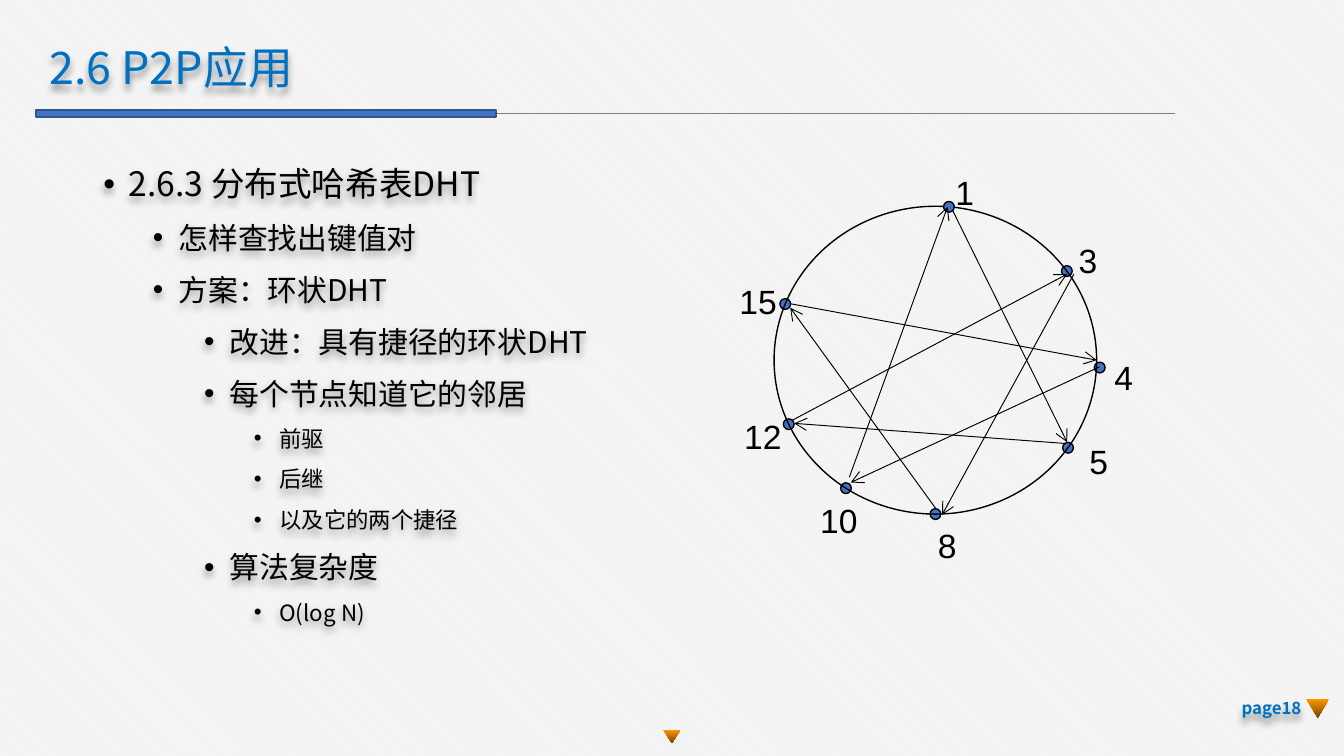
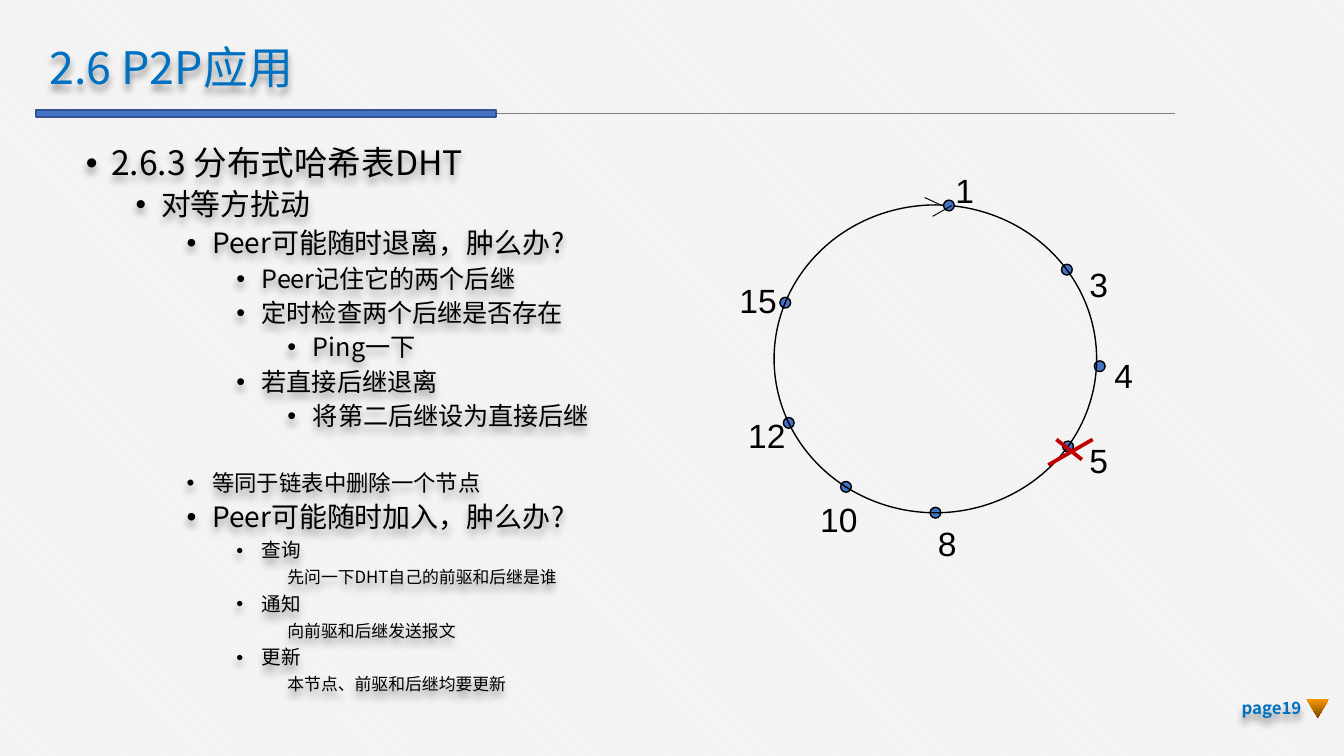
from math import cos, radians, sin

from lxml.etree import SubElement
from pptx import Presentation
from pptx.dml.color import RGBColor
from pptx.enum.dml import MSO_PATTERN as Pattern
from pptx.enum.shapes import MSO_CONNECTOR as Connector, MSO_SHAPE as Shape
from pptx.enum.text import MSO_ANCHOR as Anchor, PP_ALIGN as Align
from pptx.oxml.ns import qn
from pptx.util import Inches, Pt

COLORS = {
    "white": "FFFFFF",
    "paper": "F2F2F2",
    "accent": "4472C4",
    "accent_edge": "325491",
    "rule": "7F7F7F",
    "heading": "0070C0",
    "ink": "000000",
    "orange": "FF9900",
    "brown": "764700",
    "cross": "C00000",
}
TEXT_FONT = "Noto Sans CJK SC"
LABEL_FONT = "Arial"

CELL = 0.1
COLUMNS, ROWS = 100, 56.25
DOT = 0.8
HANG = 1.9
INDENTS = [1.9, 5.6, 9.4, 13.1, 16.9]
RING_SIZE = (24, 22.9)
TOP_NODE = "1"

NODES = {
    "1": (-85.2, 1, -0.5, -3.1),
    "3": (-35.4, 1, -0.1, -2.8),
    "4": (2.7, 1.02, 0.1, -1.3),
    "5": (34.7, 1, 0.6, -1),
    "8": (90, 1, -0.8, 0.3),
    "10": (123.7, 1, -2.9, 0.4),
    "12": (155.4, 1, -4.3, -1.1),
    "15": (201.4, 1, -4.4, -2.2),
}
CHURN_NODES = {**NODES, "3": (-35.4, 1, 0.7, -0.9), "12": (155.4, 1, -4, -1.1)}

SHORTCUTS = [
    (24.2, 12, 5.7, 20.6),
    (21.7, 17.7, 1.5, 16.2),
    (12, 22.5, 1.2, 7.6),
    (5.6, 20.2, 12.9, 0.1),
    (1.3, 16, 21.8, 5.1),
    (1.2, 7.3, 24, 11.5),
    (13.3, 0.4, 21.8, 17.6),
    (22.3, 5.1, 12.5, 23),
]
DIRECTION_MARK = [(11.2, -0.5, 12.5, 0.1), (13.2, 0.1, 11.8, 0.9)]
LEAVING_MARK = [(21, 17.5, 22.9, 19), (23.7, 17.5, 20.4, 19.4)]

LOOKUP_LINES = [
    (0, 18, "2.6.3 分布式哈希表DHT"),
    (1, 16, "怎样查找出键值对"),
    (1, 16, "方案：环状DHT"),
    (2, 16, "改进：具有捷径的环状DHT"),
    (2, 16, "每个节点知道它的邻居"),
    (3, 12, "前驱"),
    (3, 12, "后继"),
    (3, 12, "以及它的两个捷径"),
    (2, 16, "算法复杂度"),
    (3, 12, "O(log N)"),
]
SECTION_BREAK = "等同于链表中删除一个节点"
CHURN_LINES = [
    (0, 18, "2.6.3 分布式哈希表DHT"),
    (1, 16, "对等方扰动"),
    (2, 15, "Peer可能随时退离，肿么办?"),
    (3, 13.5, "Peer记住它的两个后继"),
    (3, 13.5, "定时检查两个后继是否存在"),
    (4, 13.5, "Ping一下"),
    (3, 13.5, "若直接后继退离"),
    (4, 13.5, "将第二后继设为直接后继"),
    (2, 12, SECTION_BREAK),
    (2, 15, "Peer可能随时加入，肿么办?"),
    (3, 10.5, "查询"),
    (None, 9, "先问一下DHT自己的前驱和后继是谁"),
    (3, 10.5, "通知"),
    (None, 9, "向前驱和后继发送报文"),
    (3, 10.5, "更新"),
    (None, 9, "本节点、前驱和后继均要更新"),
]


def cells(*values):
    return [Inches(value * CELL) for value in values]


def rgb(name):
    return RGBColor.from_string(COLORS[name])


def add_figure(page, kind, box, fill=None, line=None, weight=0.75):
    figure = page.shapes.add_shape(kind, *cells(*box))
    figure.shadow.inherit = False
    if fill:
        figure.fill.solid()
        figure.fill.fore_color.rgb = rgb(fill)
    else:
        figure.fill.background()
    if line:
        figure.line.color.rgb = rgb(line)
        figure.line.width = Pt(weight)
    else:
        figure.line.fill.background()
    return figure


def add_line(page, ends, color="ink", weight=0.5, arrow=False):
    line = page.shapes.add_connector(Connector.STRAIGHT, *cells(*ends))
    line.line.color.rgb = rgb(color)
    line.line.width = Pt(weight)
    if arrow:
        SubElement(line.line._get_or_add_ln(), qn("a:tailEnd"), type="arrow")
    SubElement(line._element.spPr, qn("a:effectLst"))


def add_text_shadow(box):
    effects = SubElement(box._element.spPr, qn("a:effectLst"))
    shadow = SubElement(effects, qn("a:outerShdw"), blurRad="50800", dist="38100",
                        dir="5400000", algn="t", rotWithShape="0")
    color = SubElement(shadow, qn("a:srgbClr"), val=COLORS["ink"])
    SubElement(color, qn("a:alpha"), val="40000")


def add_text_box(page, box, wrap=True, anchor=Anchor.TOP, top=0.5):
    text_box = page.shapes.add_textbox(*cells(*box))
    frame = text_box.text_frame
    frame.word_wrap = wrap
    frame.vertical_anchor = anchor
    frame.margin_left, frame.margin_right = cells(1, 1)
    frame.margin_top, frame.margin_bottom = cells(top, 0.5)
    return text_box


def add_span(para, text, size, color="ink", font=TEXT_FONT, bold=False):
    span = para.add_run()
    span.text = text
    span.font.size = Pt(size)
    span.font.bold = bold
    span.font.color.rgb = rgb(color)
    span.font.name = font
    SubElement(span._r.get_or_add_rPr(), qn("a:ea"), typeface=font)


def add_header(page, left, top, width):
    add_line(page, (left + width, top + 5.45, left, top + 5.45), "rule")
    add_figure(page, Shape.RECTANGLE, (left, top + 5.2, 34.2, 0.5),
               "accent", "accent_edge", 1)
    title = add_text_box(page, (left, top, 42.6, 4.4), anchor=Anchor.MIDDLE)
    para = title.text_frame.paragraphs[0]
    para.line_spacing = 0.9
    add_span(para, "2.6 P2P应用", 24, "heading")
    add_text_shadow(title)


def add_outline(page, left, top, lines, spacing):
    body = add_text_box(page, (left, top, 66.8, 42.8), top=0.4)
    frame = body.text_frame
    for index, (level, size, text) in enumerate(lines):
        para = frame.paragraphs[0] if index == 0 else frame.add_paragraph()
        para.line_spacing = spacing
        if index:
            para.space_before = Pt(22.2 if text == SECTION_BREAK else 3.8)
        props = para._p.get_or_add_pPr()
        if level is None:
            para.level = 4
            indent, hang = 15, 0
        else:
            para.level = level
            indent, hang = INDENTS[level], HANG
            SubElement(props, qn("a:buFont"), typeface=LABEL_FONT)
            SubElement(props, qn("a:buChar"), char="•")
        margin, first = cells(indent, -hang)
        props.set("marL", str(margin))
        props.set("indent", str(first))
        add_span(para, text, size)
    add_text_shadow(body)


def add_dot(page, x, y):
    add_figure(page, Shape.OVAL, (x - DOT / 2, y - DOT / 2, DOT, DOT),
               "accent", "ink")


def add_ring(page, left, top, nodes):
    width, height = RING_SIZE
    centers = {}
    for name, (angle, reach, *_) in nodes.items():
        x = left + width / 2 * (1 + reach * cos(radians(angle)))
        y = top + height / 2 * (1 + reach * sin(radians(angle)))
        centers[name] = x, y
        if name != TOP_NODE:
            add_dot(page, x, y)
    add_figure(page, Shape.OVAL, (left, top, width, height), line="ink")
    for name, (x, y) in centers.items():
        shift_x, shift_y = nodes[name][2:]
        label_width = 2 + 1.4 * len(name)
        label = add_text_box(page, (x + shift_x, y + shift_y, label_width, 4),
                             wrap=False)
        add_span(label.text_frame.paragraphs[0], name, 18, font=LABEL_FONT)
    add_dot(page, *centers[TOP_NODE])


def add_ring_lines(page, left, top, lines, **style):
    for x1, y1, x2, y2 in lines:
        add_line(page, (left + x1, top + y1, left + x2, top + y2), **style)


def add_marker(page, box):
    marker = add_figure(page, Shape.FLOWCHART_MERGE, box)
    marker.fill.gradient()
    marker.fill.gradient_angle = 270
    for stop, name in zip(marker.fill.gradient_stops, ("orange", "brown")):
        stop.color.rgb = rgb(name)


def add_footer(page, left, top, number):
    label = add_text_box(page, (left, top, 6.9, 3), anchor=Anchor.MIDDLE)
    para = label.text_frame.paragraphs[0]
    para.alignment = Align.RIGHT
    add_span(para, f"page{number}", 9, "heading", bold=True)
    add_text_shadow(label)
    add_marker(page, (left + 6.3, top + 0.8, 1.7, 1.4))


def add_page(deck, number):
    page = deck.slides.add_slide(deck.slide_layouts[6])
    fill = page.background.fill
    fill.patterned()
    fill.pattern = Pattern.DARK_DOWNWARD_DIAGONAL
    fill.fore_color.rgb = rgb("white")
    fill.back_color.rgb = rgb("paper")
    add_header(page, 2.7, 3, 84.7)
    add_footer(page, 90.9, 51.2, number)
    return page


def build_lookup_page(deck):
    page = add_page(deck, 18)
    add_outline(page, 6.7, 11, LOOKUP_LINES, 1.25)
    add_marker(page, (49.35, 54.3, 1.3, 1))
    add_ring(page, 57.6, 15.35, NODES)
    add_ring_lines(page, 57.6, 15.3, SHORTCUTS, arrow=True)


def build_churn_page(deck):
    page = add_page(deck, 19)
    add_outline(page, 5.4, 10.5, CHURN_LINES, 0.9)
    add_ring(page, 57.6, 15.25, CHURN_NODES)
    add_ring_lines(page, 57.6, 15.2, DIRECTION_MARK)
    add_ring_lines(page, 57.6, 15.2, LEAVING_MARK, color="cross", weight=2)


def main():
    deck = Presentation()
    deck.slide_width, deck.slide_height = cells(COLUMNS, ROWS)
    build_lookup_page(deck)
    build_churn_page(deck)
    deck.save("out.pptx")


if __name__ == "__main__":
    main()
